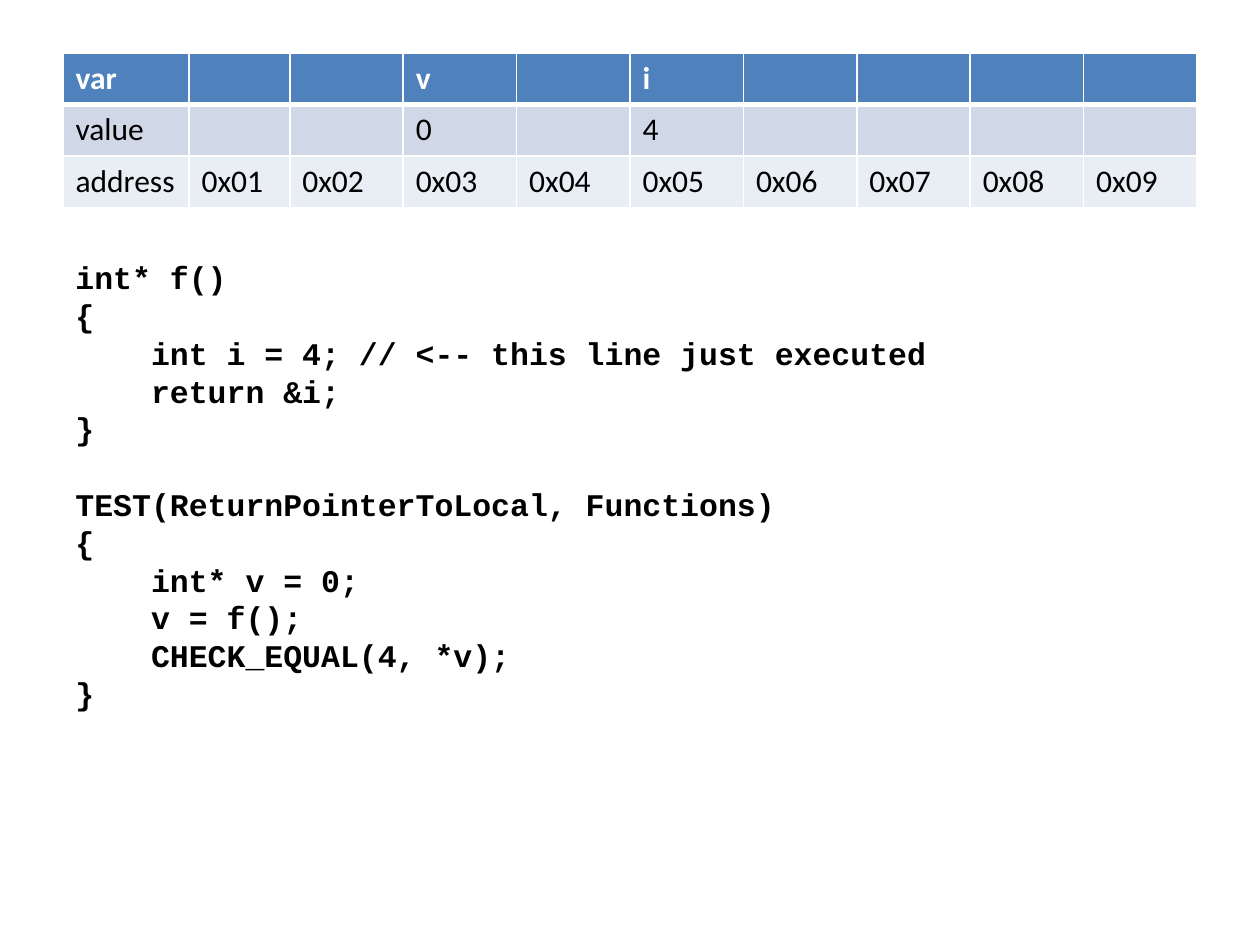
from dataclasses import dataclass

from lxml.etree import SubElement
from pptx import Presentation
from pptx.dml.color import RGBColor
from pptx.enum.text import MSO_AUTO_SIZE
from pptx.oxml.ns import qn
from pptx.util import Inches, Pt


@dataclass(frozen=True)
class Theme:
    """Colours, fonts and type sizes of the slide."""
    white: str = "FFFFFF"
    black: str = "000000"
    header: str = "4F81BD"
    dark_band: str = "D0D8E8"
    light_band: str = "E9EDF4"
    table_font: str = "Calibri"
    code_font: str = "Courier New"
    text_size: float = 18
    blank_line: float = 21.6
    thin: float = 1
    thick: float = 3


@dataclass(frozen=True)
class MemoryRow:
    """One row of the memory table."""
    texts: list[str]
    fill: str
    color: str
    bold: bool = False
    top: float = 1
    bottom: float = 1


@dataclass(frozen=True)
class CodeLine:
    """One line of code with its indent level."""
    text: str
    level: int = 0
    gap_before: bool = False


THEME = Theme()
COLUMN_WIDTHS = [1, 0.8] + [0.9] * 8
ROW_HEIGHT = 0.41
INDENT = 0.6

MEMORY_ROWS = [
    MemoryRow(["var", "", "", "v", "", "i", "", "", "", ""],
              THEME.header, THEME.white, bold=True, bottom=THEME.thick),
    MemoryRow(["value", "", "", "0", "", "4", "", "", "", ""],
              THEME.dark_band, THEME.black, top=THEME.thick),
    MemoryRow(["address"] + [f"0x{address:02}" for address in range(1, 10)],
              THEME.light_band, THEME.black),
]

CODE_LINES = [
    CodeLine("int* f()"),
    CodeLine("{"),
    CodeLine("int i = 4; // <-- this line just executed", 1),
    CodeLine("return &i;", 1),
    CodeLine("}"),
    CodeLine("TEST(ReturnPointerToLocal, Functions)", gap_before=True),
    CodeLine("{"),
    CodeLine("int* v = 0;", 1),
    CodeLine("v = f();", 1),
    CodeLine("CHECK_EQUAL(4, *v);", 1),
    CodeLine("}"),
]


def add_run(paragraph, text: str, font: str, color: str, bold: bool) -> None:
    """Add one formatted run to a paragraph."""
    run = paragraph.add_run()
    run.text = text
    run.font.name = font
    run.font.size = Pt(THEME.text_size)
    run.font.bold = bold
    run.font.color.rgb = RGBColor.from_string(color)


def set_borders(cell, top: float, bottom: float) -> None:
    """Give a cell white borders with the given top and bottom widths."""
    properties = cell._tc.get_or_add_tcPr()
    widths = {"a:lnL": THEME.thin, "a:lnR": THEME.thin, "a:lnT": top, "a:lnB": bottom}
    for tag, width in widths.items():
        line = SubElement(properties, qn(tag), w=str(Pt(width)))
        fill = SubElement(line, qn("a:solidFill"))
        SubElement(fill, qn("a:srgbClr"), val=THEME.white)


def add_memory_table(slide) -> None:
    """Draw the table of variables, values and addresses."""
    frame = slide.shapes.add_table(
        len(MEMORY_ROWS), len(COLUMN_WIDTHS), Inches(0.5), Inches(0.42),
        Inches(sum(COLUMN_WIDTHS)), Inches(ROW_HEIGHT * len(MEMORY_ROWS)))
    table = frame.table
    for column, width in zip(table.columns, COLUMN_WIDTHS):
        column.width = Inches(width)
    for table_row, row in zip(table.rows, MEMORY_ROWS):
        table_row.height = Inches(ROW_HEIGHT)
        for cell, text in zip(table_row.cells, row.texts):
            set_borders(cell, row.top, row.bottom)
            cell.fill.solid()
            cell.fill.fore_color.rgb = RGBColor.from_string(row.fill)
            if text:
                add_run(cell.text_frame.paragraphs[0], text,
                        THEME.table_font, row.color, row.bold)


def add_code(slide) -> None:
    """Draw the code listing, indented by paragraph margins."""
    box = slide.shapes.add_textbox(Inches(0.5), Inches(2), Inches(9.25), Inches(3.74))
    text_frame = box.text_frame
    text_frame.word_wrap = True
    text_frame.auto_size = MSO_AUTO_SIZE.SHAPE_TO_FIT_TEXT
    for index, line in enumerate(CODE_LINES):
        paragraph = text_frame.add_paragraph() if index else text_frame.paragraphs[0]
        if line.level:
            margin = Inches(INDENT * line.level)
            paragraph._p.get_or_add_pPr().set("marL", str(margin))
        if line.gap_before:
            paragraph.space_before = Pt(THEME.blank_line)
        add_run(paragraph, line.text, THEME.code_font, THEME.black, True)


def main() -> None:
    """Build and save the presentation."""
    presentation = Presentation()
    presentation.slide_width = Inches(10)
    presentation.slide_height = Inches(7.5)
    slide = presentation.slides.add_slide(presentation.slide_layouts[6])
    add_memory_table(slide)
    add_code(slide)
    presentation.save("out.pptx")


main()
